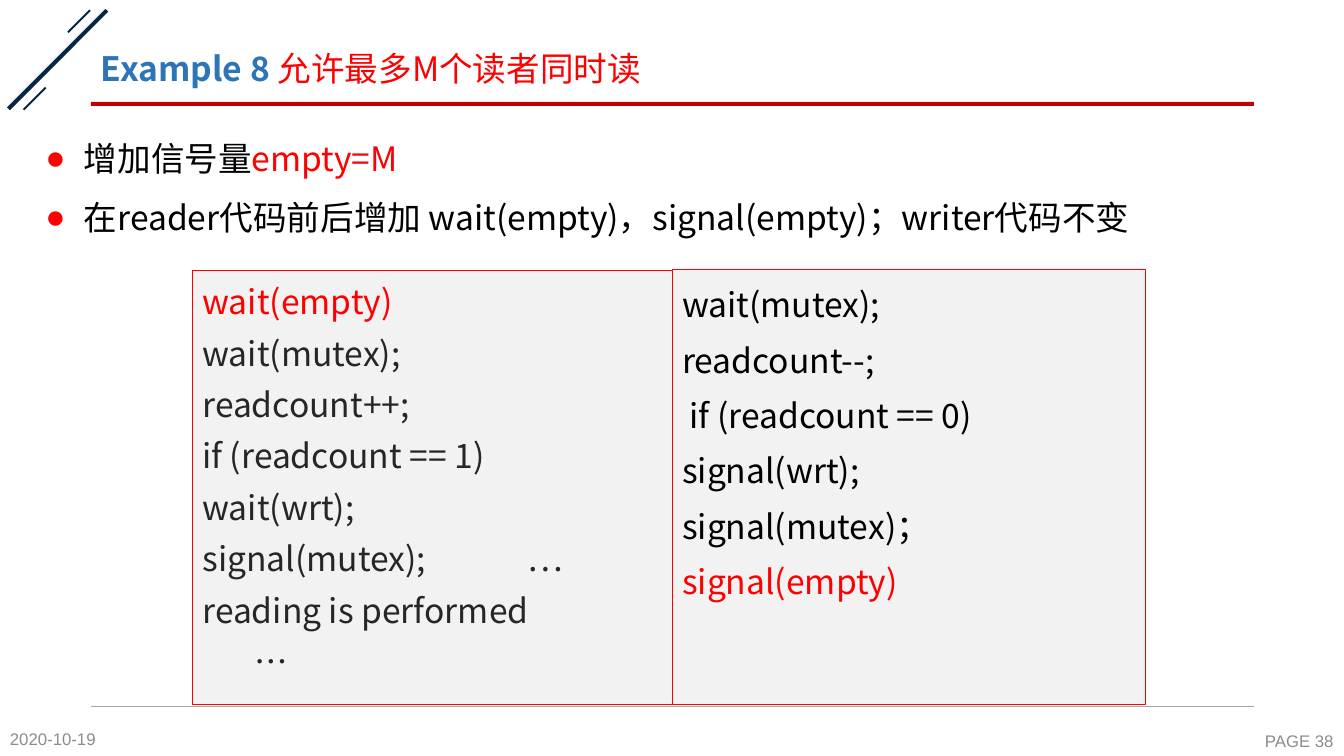
from dataclasses import dataclass

from lxml import etree
from pptx import Presentation
from pptx.dml.color import RGBColor
from pptx.enum.shapes import MSO_CONNECTOR, MSO_SHAPE
from pptx.enum.text import MSO_ANCHOR, MSO_AUTO_SIZE, PP_ALIGN
from pptx.oxml.ns import qn
from pptx.util import Cm, Pt

RECTANGLE = MSO_SHAPE.RECTANGLE
STRAIGHT = MSO_CONNECTOR.STRAIGHT
TOP, MIDDLE = MSO_ANCHOR.TOP, MSO_ANCHOR.MIDDLE
NO_FIT = MSO_AUTO_SIZE.NONE
LEFT, RIGHT, JUSTIFY = PP_ALIGN.LEFT, PP_ALIGN.RIGHT, PP_ALIGN.JUSTIFY

COLOURS = {
    "navy": "052547", "crimson": "C00000", "red": "FF0000", "blue": "2E75B6",
    "black": "000000", "charcoal": "262626", "panel": "F2F2F2",
    "rule": "A6A6A6", "footer": "8C8C8C",
}
MAIN_FONT = "Noto Sans CJK SC"
FOOTER_FONT = "Arial"
BULLET_INDENT = Cm(0.97)
ELLIPSIS_TAB = Cm(8.2)


@dataclass(frozen=True)
class Area:
    left: float
    top: float
    width: float
    height: float


@dataclass(frozen=True)
class Bar:
    area: Area
    colour: str
    rotation: float = 0


@dataclass(frozen=True)
class Span:
    text: str
    colour: str
    size: float = 24
    font: str = MAIN_FONT
    bold: bool = False


@dataclass(frozen=True)
class CodePanel:
    area: Area
    line_spacing: float
    lines: tuple[Span, ...]


@dataclass(frozen=True)
class FooterLabel:
    area: Area
    text: str
    alignment: PP_ALIGN


BARS = (
    Bar(Area(-0.3, 1.45, 3.51, 0.1), "navy", 315),
    Bar(Area(1.6, 0.51, 0.79, 0.05), "navy", 315),
    Bar(Area(0.48, 2.46, 0.79, 0.05), "navy", 315),
    Bar(Area(2.29, 2.57, 29.31, 0.1), "crimson"),
)
TITLE = (
    Span("Example 8 ", "blue", bold=True),
    Span("允许最多M个读者同时读", "red"),
)
BULLETS = (
    (Span("增加信号量", "black"), Span("empty=M", "red")),
    (Span("在reader代码前后增加 wait(empty)，signal(empty)；writer代码不变", "black"),),
)
ENTRY_CODE = (
    "wait(mutex);", "readcount++;", "if (readcount == 1)", "wait(wrt);",
    "signal(mutex);\t…", "reading is performed", "       …",
)
EXIT_CODE = (
    "wait(mutex);", "readcount--;", " if (readcount == 0)", "signal(wrt);",
    "signal(mutex)；",
)
PANELS = (
    CodePanel(
        Area(4.85, 6.81, 12.09, 10.95), 1.15,
        (Span("wait(empty)", "red"), *(Span(line, "charcoal") for line in ENTRY_CODE)),
    ),
    CodePanel(
        Area(16.94, 6.78, 11.94, 10.97), 1.25,
        (*(Span(line, "black") for line in EXIT_CODE), Span("signal(empty)", "red")),
    ),
)
FOOTERS = (
    FooterLabel(Area(0, 18.19, 3, 0.86), "2020-10-19", LEFT),
    FooterLabel(Area(30.2, 18.24, 3.66, 0.86), "PAGE 38", RIGHT),
)


def rgb(name: str) -> RGBColor:
    return RGBColor.from_string(COLOURS[name])


def bounds(area: Area) -> tuple[Cm, Cm, Cm, Cm]:
    return Cm(area.left), Cm(area.top), Cm(area.width), Cm(area.height)


def place(shape, area: Area) -> None:
    shape.left, shape.top, shape.width, shape.height = bounds(area)


def prepare_frame(shape, anchor: MSO_ANCHOR):
    frame = shape.text_frame
    frame.word_wrap = True
    frame.auto_size = NO_FIT
    frame.vertical_anchor = anchor
    return frame


def add_span(para, span: Span) -> None:
    run = para.add_run()
    run.text = span.text
    run.font.size = Pt(span.size)
    run.font.bold = span.bold
    run.font.color.rgb = rgb(span.colour)
    run.font.name = span.font
    east_asian = etree.SubElement(run.font._element, qn("a:ea"))
    east_asian.set("typeface", span.font)


def format_para(para, alignment: PP_ALIGN, spacing: float, before: float) -> None:
    para.alignment = alignment
    para.line_spacing = spacing
    para.space_before = Pt(before)
    para.space_after = Pt(0)


def next_para(frame, index: int):
    return frame.add_paragraph() if index else frame.paragraphs[0]


def add_bullet(para) -> None:
    properties = para._p.get_or_add_pPr()
    properties.set("marL", str(BULLET_INDENT))
    properties.set("indent", str(-BULLET_INDENT))
    colour = etree.SubElement(properties, qn("a:buClr"))
    etree.SubElement(colour, qn("a:srgbClr")).set("val", COLOURS["red"])
    etree.SubElement(properties, qn("a:buFont")).set("typeface", FOOTER_FONT)
    etree.SubElement(properties, qn("a:buChar")).set("char", "●")


def add_tab(para, position: Cm) -> None:
    tabs = etree.SubElement(para._p.get_or_add_pPr(), qn("a:tabLst"))
    etree.SubElement(tabs, qn("a:tab"), pos=str(position), algn="l")


def add_rectangle(page, area: Area, fill: str):
    box = page.shapes.add_shape(RECTANGLE, *bounds(area))
    box.shadow.inherit = False
    box.fill.solid()
    box.fill.fore_color.rgb = rgb(fill)
    return box


def draw_bar(page, bar: Bar) -> None:
    box = add_rectangle(page, bar.area, bar.colour)
    box.line.fill.background()
    box.rotation = bar.rotation


def draw_footer_rule(page) -> None:
    rule = page.shapes.add_connector(STRAIGHT, Cm(2.29), Cm(17.81), Cm(31.6), Cm(17.81))
    rule.line.color.rgb = rgb("rule")
    rule.line.width = Pt(0.5)
    etree.SubElement(rule._element.spPr, qn("a:effectLst"))


def draw_footer(page, label: FooterLabel) -> None:
    box = page.shapes.add_textbox(*bounds(label.area))
    para = prepare_frame(box, MIDDLE).paragraphs[0]
    para.alignment = label.alignment
    add_span(para, Span(label.text, "footer", 12, FOOTER_FONT))


def fill_title(title) -> None:
    place(title, Area(2.29, 1.02, 29.31, 1.52))
    para = prepare_frame(title, MIDDLE).paragraphs[0]
    format_para(para, LEFT, 0.9, 0)
    for span in TITLE:
        add_span(para, span)


def fill_body(body) -> None:
    place(body, Area(0.89, 3.1, 32.13, 14.88))
    frame = prepare_frame(body, TOP)
    for index, spans in enumerate(BULLETS):
        para = next_para(frame, index)
        para.level = 1
        add_bullet(para)
        format_para(para, LEFT, 1.25, 6 if index else 0)
        for span in spans:
            add_span(para, span)


def draw_panel(page, panel: CodePanel) -> None:
    box = add_rectangle(page, panel.area, "panel")
    box.line.color.rgb = rgb("red")
    box.line.width = Pt(0.75)
    frame = prepare_frame(box, TOP)
    for index, span in enumerate(panel.lines):
        para = next_para(frame, index)
        if "\t" in span.text:
            add_tab(para, ELLIPSIS_TAB)
        format_para(para, JUSTIFY, panel.line_spacing, 3.6 if index else 0)
        add_span(para, span)


def main() -> None:
    deck = Presentation()
    deck.slide_width, deck.slide_height = Cm(33.87), Cm(19.05)
    page = deck.slides.add_slide(deck.slide_layouts[1])
    fill_title(page.shapes.title)
    fill_body(page.placeholders[1])
    for bar in BARS:
        draw_bar(page, bar)
    draw_footer_rule(page)
    for label in FOOTERS:
        draw_footer(page, label)
    for panel in PANELS:
        draw_panel(page, panel)
    deck.save("out.pptx")


if __name__ == "__main__":
    main()
